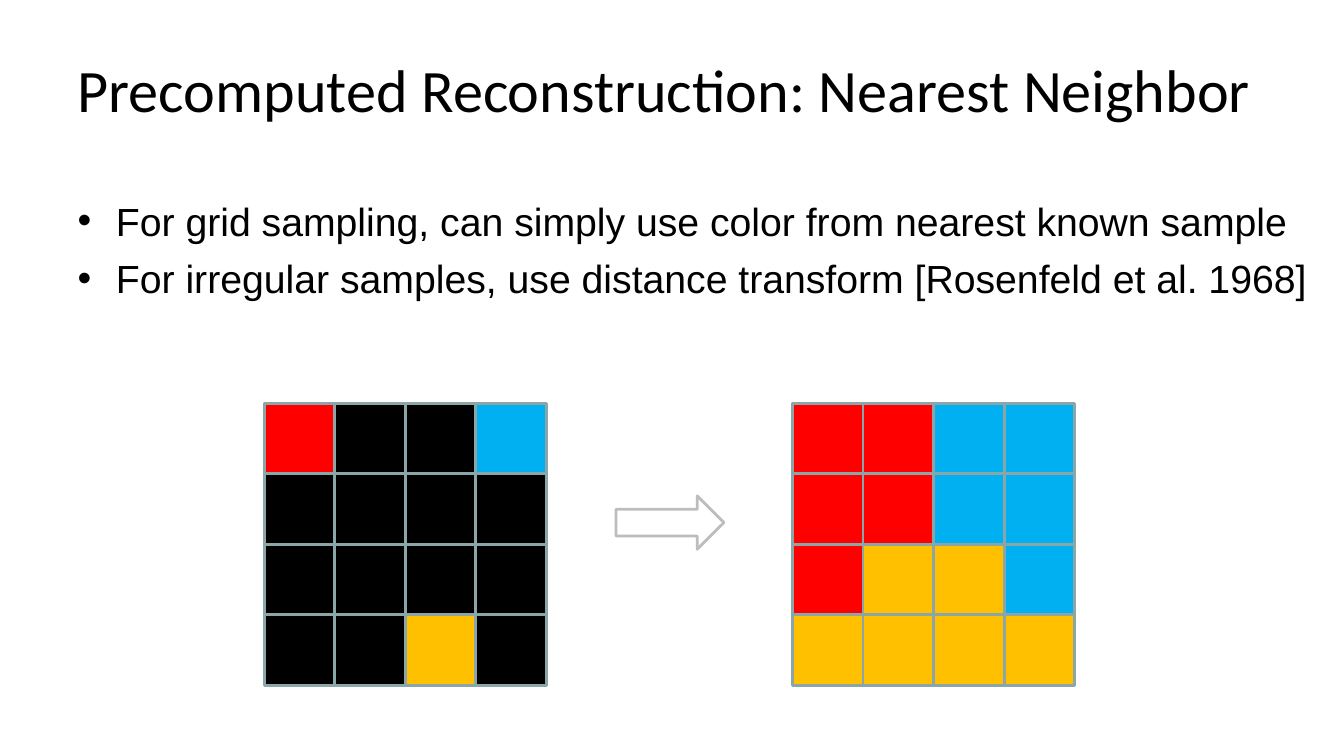
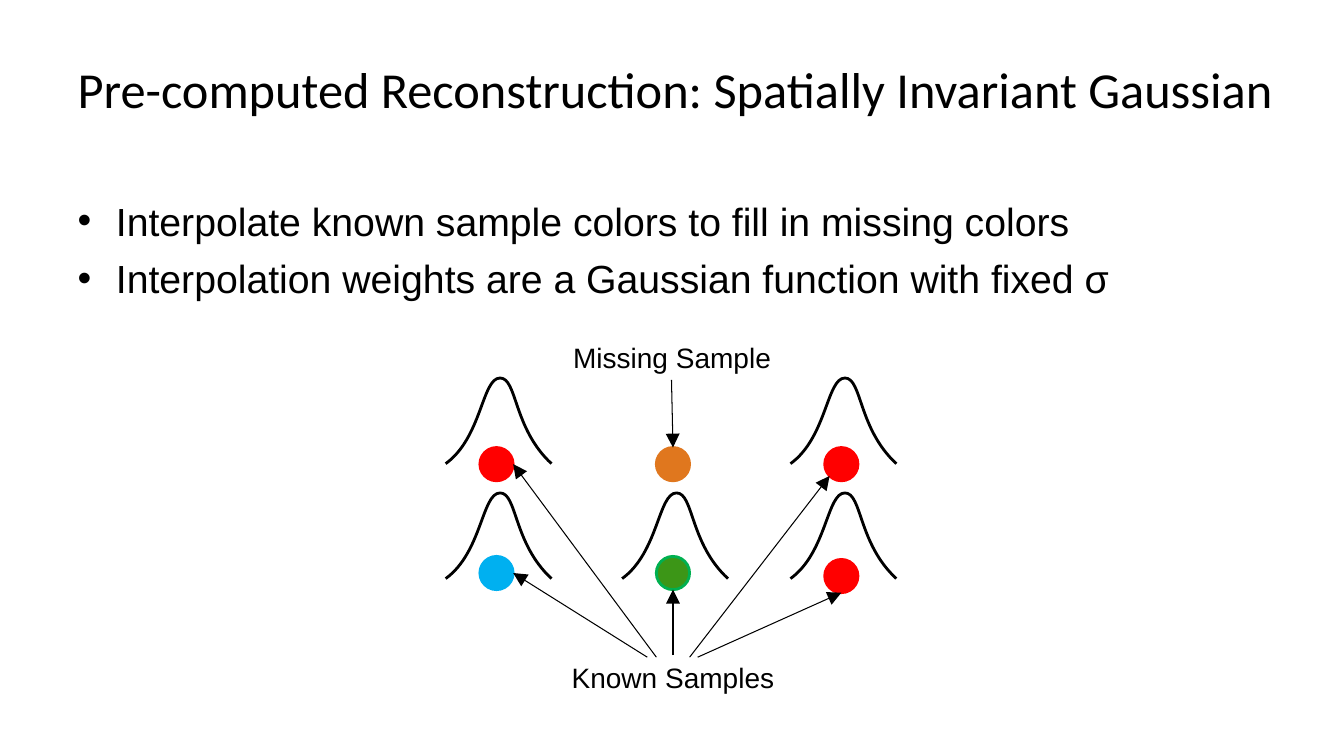
import math
import lxml.etree
import pptx
import pptx.dml.color
import pptx.enum.shapes
import pptx.enum.text
import pptx.oxml.ns
import pptx.util

SHAPES = pptx.enum.shapes.MSO_SHAPE
ALIGN = pptx.enum.text.PP_ALIGN
ANCHOR = pptx.enum.text.MSO_ANCHOR
AUTO_SIZE = pptx.enum.text.MSO_AUTO_SIZE

# Content
NEAREST = {
    "title": "Precomputed Reconstruction: Nearest Neighbor",
    "title_size": 43,
    "bullets": [
        "For grid sampling, can simply use color from nearest known sample",
        "For irregular samples, use distance transform [Rosenfeld et al. 1968]",
    ],
}
GAUSSIAN = {
    "title": "Pre-computed Reconstruction: Spatially Invariant Gaussian",
    "title_size": 36,
    "bullets": [
        "Interpolate known sample colors to fill in missing colors",
        "Interpolation weights are a Gaussian function with fixed σ",
    ],
}

# Pixel grids: left edge and one letter per cell
PIXEL_GRIDS = [
    (262, ["RKKB", "KKKK", "KKKK", "KKYK"]),
    (786, ["RRBB", "RRBB", "RYYB", "YYYY"]),
]
CELL_COLORS = {"R": "red", "B": "blue", "Y": "yellow", "K": "black"}
GRID_TOP, CELL = 400, 70
STEP_ARROW = (611, 492, 107, 53)

# Samples: left, top, fill, outline, top of the bell above (None without one)
SAMPLES = {
    "missing": (651, 444, "orange", "orange", None),
    "top left": (476, 444, "red", "red", 375),
    "top right": (818, 444, "red", "red", 375),
    "bottom left": (476, 552, "blue", "blue", 489),
    "bottom middle": (651, 552, "leaf", "green", 489),
    "bottom right": (818, 555, "red", "red", 489),
}
DIAMETER = 33
BELL_SHIFT = -34
# Start point, then three control points for each of two cubic curves
BELL_POINTS = [(0, 85), (36, 59), (36, 0), (54, 0), (71, 0), (67, 50), (105, 85)]
LABELS = [
    ("Known Samples", (551, 650, 233, 44)),
    ("Missing Sample", (554, 333, 225, 44)),
]
# Arrows: start, sample, angle of the touched rim point (clockwise from right)
ARROWS = [
    ((666, 377), "missing", 270),
    ((651, 652), "top left", 0),
    ((642, 652), "bottom left", 0),
    ((667.5, 650), "bottom middle", 90),
    ((692, 652), "bottom right", 90),
    ((684, 652), "top right", 135),
]

# Shared look
THEME = {
    "colors": {
        "black": "000000", "white": "FFFFFF", "red": "FF0000",
        "blue": "00B0F0", "yellow": "FFC000", "orange": "E0771E",
        "leaf": "3C9617", "green": "00B050", "grid": "8AA6A8", "arrow": "BDBDBD",
    },
    "title_font": "Calibri", "body_font": "Arial",
    "body_size": 28, "label_size": 20, "outline": 2, "thin": 0.75,
    "title_box": (67, 25, 1242, 125), "body_box": (67, 188, 1253, 495),
    "bullet_indent": 38, "bullet_gap": 5.6, "line_spacing": 1.05,
    "arrowhead": {"type": "triangle", "w": "lg", "len": "lg"},
}
SLIDE_SIZE = (1333, 750)
EMU_PER_PX = 9144


def px(value):
    return pptx.util.Emu(round(value * EMU_PER_PX))


def color(name):
    return pptx.dml.color.RGBColor.from_string(THEME["colors"][name])


def set_all(target, values):
    for name, value in values.items():
        setattr(target, name, value)


def place(shape, box):
    set_all(shape, dict(zip(("left", "top", "width", "height"), map(px, box))))


def format_font(paragraph, font, size):
    set_all(paragraph.font, {"name": font, "size": pptx.util.Pt(size)})
    paragraph.font.color.rgb = color("black")


def format_line(line, name, width):
    line.color.rgb = color(name)
    line.width = pptx.util.Pt(width)


def add_filled(shapes, kind, box, fill, outline):
    shape = shapes.add_shape(kind, *map(px, box))
    shape.shadow.inherit = False
    shape.fill.solid()
    shape.fill.fore_color.rgb = color(fill)
    format_line(shape.line, outline, THEME["outline"])


def add_content_slide(presentation, content):
    slide = presentation.slides.add_slide(presentation.slide_layouts[1])
    title, body = slide.shapes.title, slide.placeholders[1]
    place(title, THEME["title_box"])
    place(body, THEME["body_box"])
    frame_format = {"word_wrap": True, "auto_size": AUTO_SIZE.NONE}

    # Title
    title.text_frame.text = content["title"]
    set_all(title.text_frame, {**frame_format, "vertical_anchor": ANCHOR.MIDDLE})
    heading = title.text_frame.paragraphs[0]
    heading.alignment = ALIGN.LEFT
    format_font(heading, THEME["title_font"], content["title_size"])

    # Bullets
    body.text_frame.text = "\n".join(content["bullets"])
    set_all(body.text_frame, {**frame_format, "vertical_anchor": ANCHOR.TOP})
    for index, paragraph in enumerate(body.text_frame.paragraphs):
        properties = paragraph._p.get_or_add_pPr()
        properties.set("marL", str(px(THEME["bullet_indent"])))
        properties.set("indent", str(px(-THEME["bullet_indent"])))
        set_all(paragraph, {
            "line_spacing": THEME["line_spacing"],
            "space_before": pptx.util.Pt(THEME["bullet_gap"] if index else 0),
            "space_after": pptx.util.Pt(0),
        })
        format_font(paragraph, THEME["body_font"], THEME["body_size"])
    return slide


def add_pixel_grid(slide, left, rows):
    group = slide.shapes.add_group_shape()
    for row, letters in enumerate(rows):
        for column, letter in enumerate(letters):
            box = (left + column * CELL, GRID_TOP + row * CELL, CELL, CELL)
            add_filled(group.shapes, SHAPES.RECTANGLE, box, CELL_COLORS[letter], "grid")


def add_bell(slide, left, top):
    outline = [(px(left + x), px(top + y)) for x, y in BELL_POINTS]
    builder = slide.shapes.build_freeform(*outline[0], scale=1.0)
    builder.add_line_segments(outline[1:], close=False)
    bell = builder.convert_to_shape()

    # Every three straight segments become the controls of one cubic curve
    segments = list(bell._element.iter(pptx.oxml.ns.qn("a:lnTo")))
    for first in range(0, len(segments), 3):
        curve = lxml.etree.Element(pptx.oxml.ns.qn("a:cubicBezTo"))
        segments[first].addprevious(curve)
        for segment in segments[first:first + 3]:
            curve.append(segment[0])
            segment.getparent().remove(segment)

    bell.shadow.inherit = False
    bell.fill.background()
    format_line(bell.line, "black", THEME["outline"])


def add_label(slide, text, box):
    label = slide.shapes.add_textbox(*map(px, box))
    label.text_frame.word_wrap = True
    paragraph = label.text_frame.paragraphs[0]
    paragraph.text = text
    paragraph.alignment = ALIGN.CENTER
    format_font(paragraph, THEME["body_font"], THEME["label_size"])


def add_arrow(slide, start, sample, angle):
    left, top = SAMPLES[sample][:2]
    radius, turn = DIAMETER / 2, math.radians(angle)
    end = (left + radius * (1 + math.cos(turn)), top + radius * (1 + math.sin(turn)))
    arrow = slide.shapes.add_connector(
        pptx.enum.shapes.MSO_CONNECTOR.STRAIGHT, *map(px, start + end))
    format_line(arrow.line, "black", THEME["thin"])
    properties = arrow._element.spPr
    line = properties.find(pptx.oxml.ns.qn("a:ln"))
    lxml.etree.SubElement(line, pptx.oxml.ns.qn("a:tailEnd"), THEME["arrowhead"])
    lxml.etree.SubElement(properties, pptx.oxml.ns.qn("a:effectLst"))


def main():
    presentation = pptx.Presentation()
    set_all(presentation, dict(zip(("slide_width", "slide_height"), map(px, SLIDE_SIZE))))

    # Nearest neighbor
    slide = add_content_slide(presentation, NEAREST)
    for left, rows in PIXEL_GRIDS:
        add_pixel_grid(slide, left, rows)
    add_filled(slide.shapes, SHAPES.RIGHT_ARROW, STEP_ARROW, "white", "arrow")

    # Gaussian weights
    slide = add_content_slide(presentation, GAUSSIAN)
    for left, top, fill, outline, bell_top in SAMPLES.values():
        box = (left, top, DIAMETER, DIAMETER)
        add_filled(slide.shapes, SHAPES.OVAL, box, fill, outline)
        if bell_top is not None:
            add_bell(slide, left + BELL_SHIFT, bell_top)
    for text, box in LABELS:
        add_label(slide, text, box)
    for start, sample, angle in ARROWS:
        add_arrow(slide, start, sample, angle)

    presentation.save("out.pptx")


if __name__ == "__main__":
    main()
